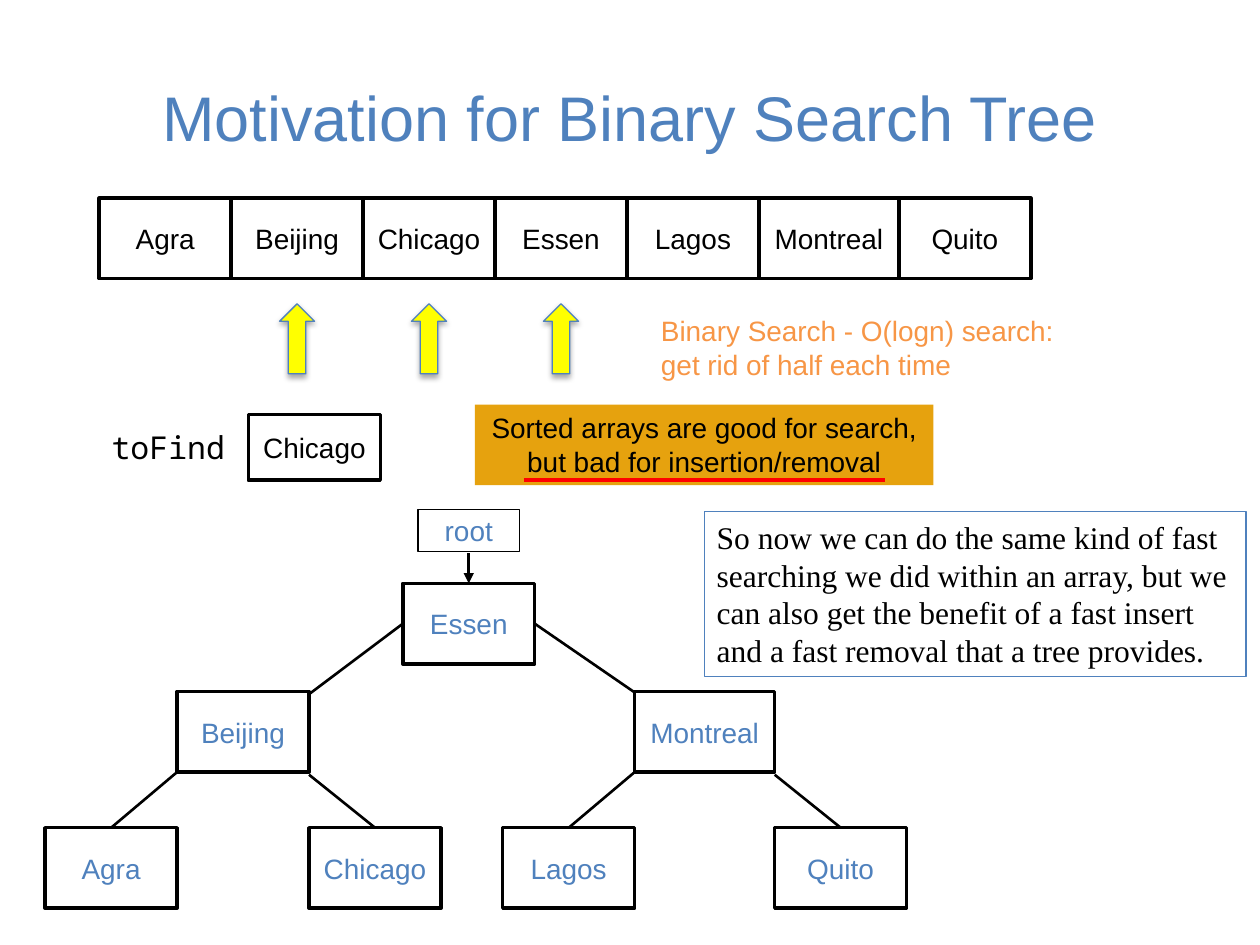
import pptx
import pptx.dml.color
import pptx.enum.shapes
import pptx.enum.text
import pptx.oxml
import pptx.util
from pptx.util import Pt

RGBColor = pptx.dml.color.RGBColor
BLACK = RGBColor(0x00, 0x00, 0x00)
WHITE = RGBColor(0xFF, 0xFF, 0xFF)
BLUE = RGBColor(0x4F, 0x81, 0xBD)
YELLOW = RGBColor(0xFF, 0xFF, 0x00)
AMBER = RGBColor(0xE6, 0xA2, 0x0E)
ORANGE = RGBColor(0xF7, 0x96, 0x46)
RED = RGBColor(0xFF, 0x00, 0x00)

SHAPE = pptx.enum.shapes.MSO_SHAPE
ALIGN = pptx.enum.text.PP_ALIGN
ANCHOR = pptx.enum.text.MSO_ANCHOR

CITIES = ["Agra", "Beijing", "Chicago", "Essen", "Lagos", "Montreal", "Quito"]
CELL_WIDTH = 75.4
CELL_HEIGHT = 46


def city_width(city):
    """Return the width of a city's box, wider for the longest name."""
    return 80 if city == "Montreal" else CELL_WIDTH


def write_text(frame, text, size, color, align=ALIGN.LEFT, font="Arial"):
    """Fill a text frame with one formatted paragraph."""
    para = frame.paragraphs[0]
    para.text = text
    para.alignment = align
    para.font.name = font
    para.font.size = Pt(size)
    para.font.color.rgb = color


def add_cell(page, left, top, width, height, text, color=BLACK, line_width=2):
    """Add a white outlined box with a centred label."""
    cell = page.shapes.add_shape(SHAPE.RECTANGLE, Pt(left), Pt(top), Pt(width), Pt(height))
    cell.shadow.inherit = False
    cell.fill.solid()
    cell.fill.fore_color.rgb = WHITE
    cell.line.color.rgb = BLACK
    cell.line.width = Pt(line_width)
    frame = cell.text_frame
    frame.word_wrap = True
    frame.vertical_anchor = ANCHOR.MIDDLE
    frame.margin_left = frame.margin_right = Pt(3.6)
    write_text(frame, text, 16, color, ALIGN.CENTER)


def add_note(page, left, top, width, height, text, size, color, wrap=True, **style):
    """Add a text box and return it for fill or outline."""
    note = page.shapes.add_textbox(Pt(left), Pt(top), Pt(width), Pt(height))
    note.text_frame.word_wrap = wrap
    write_text(note.text_frame, text, size, color, **style)
    return note


def add_line(page, start, end, color=BLACK, width=1.5):
    """Add a straight line between two points without a shadow."""
    line = page.shapes.add_connector(
        pptx.enum.shapes.MSO_CONNECTOR.STRAIGHT, *(Pt(value) for value in (*start, *end)))
    line.line.color.rgb = color
    line.line.width = Pt(width)
    properties = line.element.spPr
    properties.append(properties.makeelement(pptx.oxml.ns.qn("a:effectLst"), {}))
    return line


def add_title(page, left, top, width, height):
    """Place the title placeholder."""
    title = page.shapes.title
    title.left, title.top, title.width, title.height = map(Pt, (left, top, width, height))
    title.text_frame.vertical_anchor = ANCHOR.MIDDLE
    write_text(title.text_frame, "Motivation for Binary Search Tree", 36, BLUE, ALIGN.CENTER)


def add_sorted_array(page, left, top):
    """Draw the array of cities with arrows under the probed cells."""
    probed = ("Beijing", "Chicago", "Essen")
    for city in CITIES:
        width = city_width(city)
        add_cell(page, left, top, width, CELL_HEIGHT, city)
        if city in probed:
            arrow = page.shapes.add_shape(
                SHAPE.UP_ARROW, Pt(left + width / 2 - 10), Pt(top + 60.4), Pt(20), Pt(40))
            arrow.fill.solid()
            arrow.fill.fore_color.rgb = YELLOW
            arrow.line.color.rgb = BLUE
            arrow.line.width = Pt(0.75)
        left += width


def add_search_target(page, left, top):
    """Draw the variable name and the value to find."""
    add_note(page, left, top + 4, 80, 29, "toFind", 18, BLACK, wrap=False,
             font="Noto Sans Mono")
    add_cell(page, left + 85.3, top, CELL_WIDTH, 37.6, "Chicago")


def add_array_verdict(page, left, top, width, height):
    """Draw the filled verdict with its red underline."""
    verdict = add_note(
        page, left, top, width, height,
        "Sorted arrays are good for search, but bad for insertion/removal",
        16, BLACK, align=ALIGN.CENTER)
    verdict.fill.solid()
    verdict.fill.fore_color.rgb = AMBER
    verdict.text_frame.paragraphs[0].space_after = Pt(2)
    add_line(page, (left + 28, top + 43), (left + width - 28, top + 43), RED, 2.25)


def add_branch(page, left, top, names):
    """Draw a parent whose two leaves adjoin its sides one level below."""
    parent, small, large = names
    width = city_width(parent)
    right = left + width
    bottom = top + CELL_HEIGHT
    leaf_top = top + 77.8
    add_cell(page, left, top, width, CELL_HEIGHT, parent, BLUE)
    for city, leaf_left, corner in ((small, left - CELL_WIDTH, (left, bottom)),
                                    (large, right, (right, bottom + 1.5))):
        add_cell(page, leaf_left, leaf_top, CELL_WIDTH, CELL_HEIGHT, city, BLUE)
        add_line(page, corner, (leaf_left + CELL_WIDTH / 2, leaf_top))


def add_search_tree(page, left, top):
    """Draw the root pointer, the root node and its two branches."""
    center = left + 242.1
    node_left = center - CELL_WIDTH / 2
    node_right = center + CELL_WIDTH / 2
    node_top = top + 42.4
    middle = node_top + CELL_HEIGHT / 2
    branch_top = top + 104.2
    small_left = left + CELL_WIDTH
    large_left = left + 336.9

    add_cell(page, center - 29, top, 58, 24.2, "root", BLUE, 0.75)
    add_cell(page, node_left, node_top, CELL_WIDTH, CELL_HEIGHT, "Essen", BLUE)
    add_branch(page, small_left, branch_top, ("Beijing", "Agra", "Chicago"))
    add_branch(page, large_left, branch_top, ("Montreal", "Lagos", "Quito"))
    add_line(page, (node_left, middle), (small_left + CELL_WIDTH, branch_top + 1.5))
    add_line(page, (node_right, middle), (large_left, branch_top + 0.5))
    pointer = add_line(page, (center, node_top), (center, top + 25))
    outline = pointer.line._get_or_add_ln()
    outline.append(outline.makeelement(pptx.oxml.ns.qn("a:headEnd"), {"type": "triangle"}))


def add_conclusion(page, left, top, width, height):
    """Draw the outlined closing remark."""
    remark = add_note(
        page, left, top, width, height,
        "So now we can do the same kind of fast searching we did within an array, "
        "but we can also get the benefit of a fast insert and a fast removal that "
        "a tree provides.", 18, BLACK, font="Times New Roman")
    remark.line.color.rgb = BLUE
    remark.line.width = Pt(0.75)


def main():
    """Build and save the deck."""
    deck = pptx.Presentation()
    deck.slide_width, deck.slide_height = Pt(720), Pt(540)
    page = deck.slides.add_slide(deck.slide_layouts[5])
    add_title(page, 36, 21.6, 648, 90)
    add_sorted_array(page, 56.7, 113.2)
    add_search_target(page, 56.7, 236.9)
    add_note(page, 370.6, 175.7, 248.4, 46,
             "Binary Search - O(logn) search: get rid of half each time", 16, ORANGE)
    add_array_verdict(page, 271.4, 231.2, 262.1, 46)
    add_search_tree(page, 25.8, 291)
    add_conclusion(page, 402.5, 292.3, 309.6, 94.3)
    deck.save("out.pptx")


if __name__ == "__main__":
    main()
